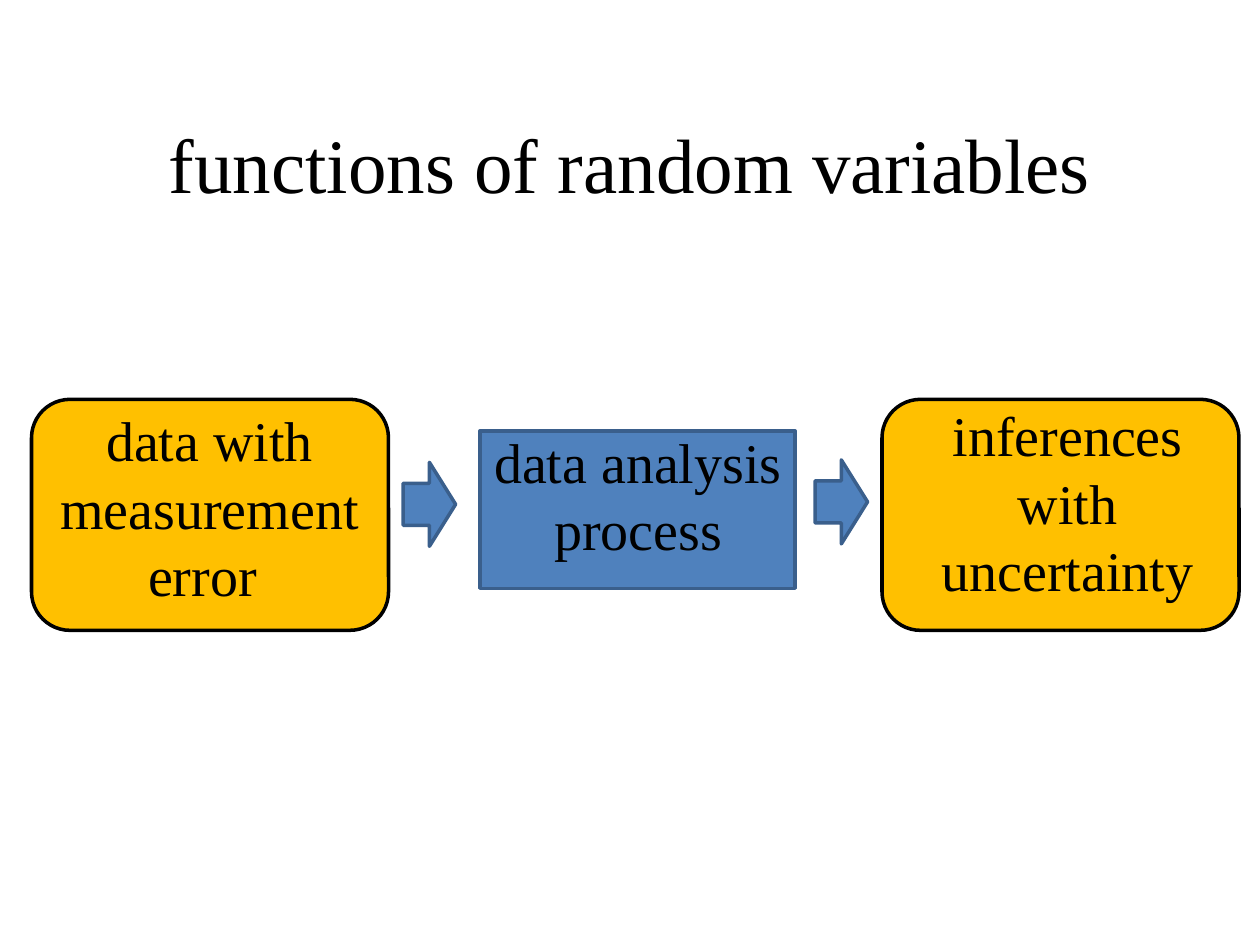
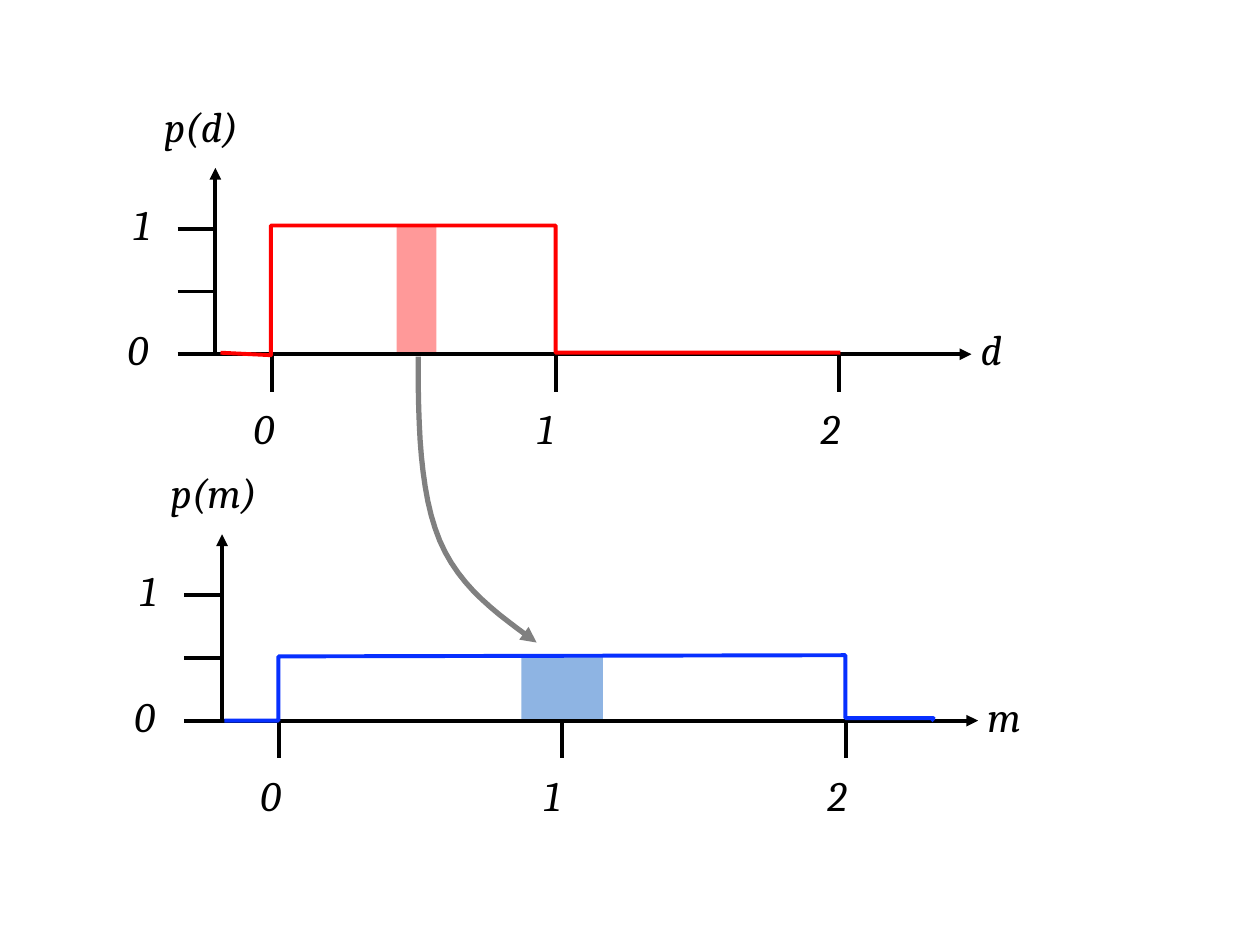
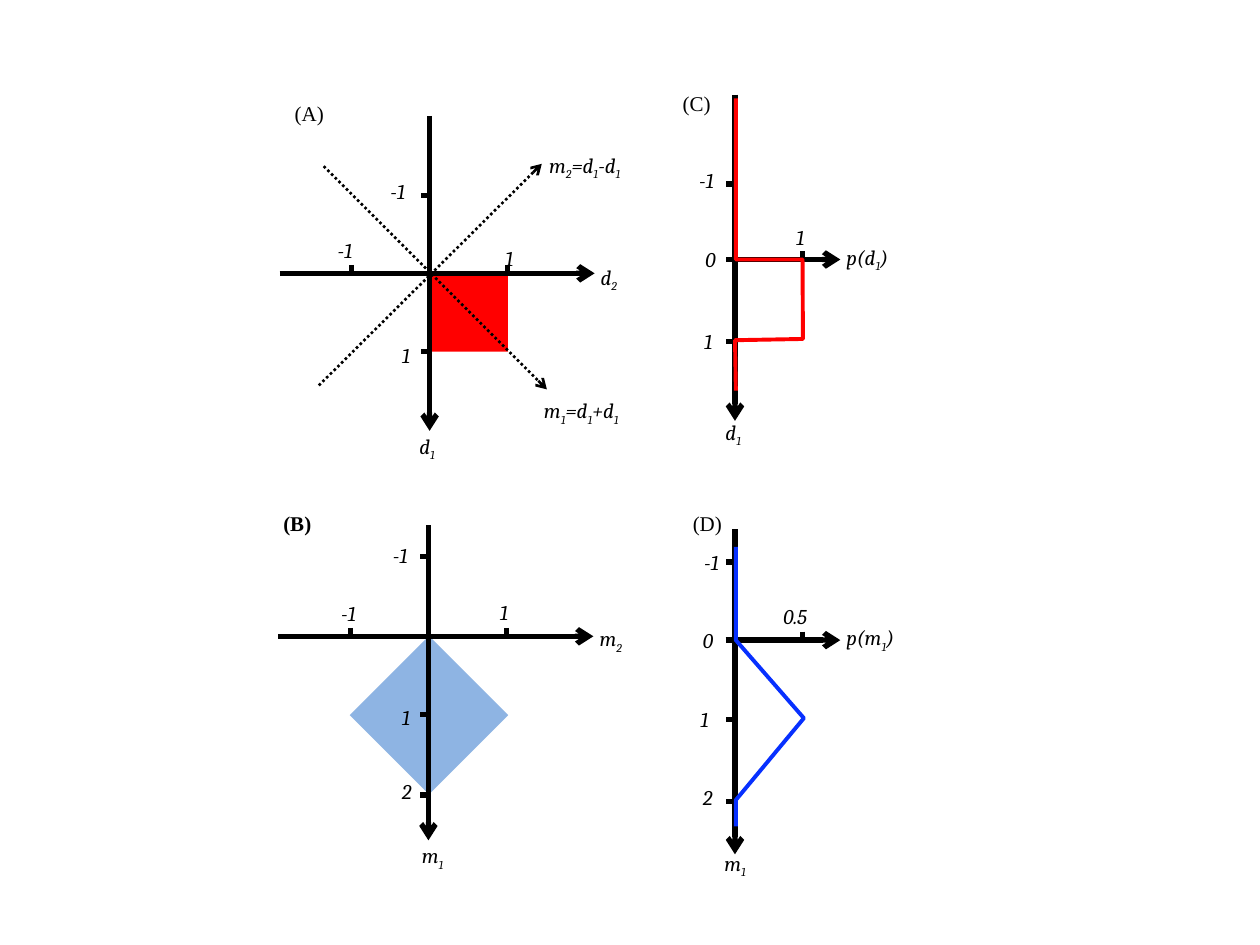
from lxml import etree
from pptx import Presentation
from pptx.dml.color import RGBColor
from pptx.enum.dml import MSO_LINE
from pptx.enum.shapes import MSO_CONNECTOR, MSO_SHAPE
from pptx.enum.text import MSO_ANCHOR, PP_ALIGN
from pptx.oxml.ns import qn
from pptx.util import Pt

RECTANGLE = MSO_SHAPE.RECTANGLE
ROUNDED = MSO_SHAPE.ROUNDED_RECTANGLE
ARROW = MSO_SHAPE.RIGHT_ARROW
STRAIGHT = MSO_CONNECTOR.STRAIGHT
DOTTED = MSO_LINE.ROUND_DOT
LEFT, CENTER = PP_ALIGN.LEFT, PP_ALIGN.CENTER
TOP, MIDDLE = MSO_ANCHOR.TOP, MSO_ANCHOR.MIDDLE

COLORS = {
    "black": "000000",
    "process": "4F81BD",
    "process_edge": "3A5F8C",
    "data": "FFC000",
    "red": "FF0000",
    "pink": "FF9999",
    "blue": "0730FF",
    "light_blue": "8EB4E3",
    "gray": "808080",
}
SERIF, MATH = "Times New Roman", "Cambria"


def add_text(slide, text, box, placeholder=None, font=MATH, size=12, bold=False,
             italic=True, align=LEFT, anchor=TOP, line_height=None, before=0):
    """Write text in a box or placeholder; an underscore lowers the next character."""
    shape = slide.shapes.add_textbox(0, 0, 0, 0) if placeholder is None else placeholder
    shape.left, shape.top, shape.width, shape.height = map(Pt, box)
    frame = shape.text_frame
    frame.word_wrap = True
    frame.vertical_anchor = anchor
    paragraph = frame.paragraphs[0]
    paragraph.alignment = align
    paragraph.space_before = Pt(before)
    if line_height:
        paragraph.line_spacing = Pt(line_height)
    first, *rest = text.split("_")
    pieces = [(first, False)]
    for part in rest:
        pieces += [(part[0], True), (part[1:], False)]
    for piece, lowered in pieces:
        if not piece:
            continue
        run = paragraph.add_run()
        run.text = piece
        run.font.name, run.font.size = font, Pt(size)
        run.font.bold, run.font.italic = bold, italic
        run.font.color.rgb = RGBColor.from_string(COLORS["black"])
        if lowered:
            run._r.get_or_add_rPr().set("baseline", "-25000")


def add_line(slide, points, color="black", width=2.25, dash=None, head=None, tail=None):
    """Draw a connector through two points, or an open outline through more."""
    corners = [(Pt(x), Pt(y)) for x, y in points]
    if len(corners) == 2:
        shape = slide.shapes.add_connector(STRAIGHT, *corners[0], *corners[1])
    else:
        builder = slide.shapes.build_freeform(*corners[0])
        builder.add_line_segments(corners[1:], close=False)
        shape = builder.convert_to_shape()
        shape.fill.background()
    shape.line.color.rgb = RGBColor.from_string(COLORS[color])
    shape.line.width = Pt(width)
    if dash:
        shape.line.dash_style = dash
    outline = shape.line._get_or_add_ln()
    for tag, kind in (("a:headEnd", head), ("a:tailEnd", tail)):
        if kind:
            etree.SubElement(outline, qn(tag)).set("type", kind)
    etree.SubElement(shape._element.spPr, qn("a:effectLst"))


presentation = Presentation()
presentation.slide_width, presentation.slide_height = Pt(720), Pt(540)
TITLE_ONLY, BLANK = presentation.slide_layouts[5], presentation.slide_layouts[6]
flow, mapping, panels = [
    presentation.slides.add_slide(layout) for layout in (TITLE_ONLY, BLANK, BLANK)
]

# Filled shapes of all slides, which lie behind lines and labels
filled_shapes = [
    (flow, RECTANGLE, (274.3, 246.2, 180, 90), "process", "process_edge", 0),
    (flow, ROUNDED, (504, 228.2, 204, 132), "data", "black", 0),
    (flow, ROUNDED, (18, 228.2, 204, 132), "data", "black", 0),
    (flow, ARROW, (230.4, 264.2, 30, 48), "process", "process_edge", 0),
    (flow, ARROW, (465.8, 262.8, 30, 48), "process", "process_edge", 0),
    (mapping, RECTANGLE, (298, 375.1, 46.5, 36), "light_blue", None, 0),
    (mapping, RECTANGLE, (226.7, 129.6, 22.8, 72), "pink", None, 0),
    (panels, RECTANGLE, (245.5, 156.2, 44.7, 44.7), "red", None, 0),
    (panels, RECTANGLE, (213.1, 376.6, 64.1, 64.1), "light_blue", None, 315),
]
for slide, kind, box, fill, edge, rotation in filled_shapes:
    shape = slide.shapes.add_shape(kind, *map(Pt, box))
    shape.shadow.inherit = False
    shape.rotation = rotation
    shape.fill.solid()
    shape.fill.fore_color.rgb = RGBColor.from_string(COLORS[fill])
    if edge:
        shape.line.color.rgb = RGBColor.from_string(COLORS[edge])
        shape.line.width = Pt(2)
    else:
        shape.line.fill.background()

# Slide 1: from data to inferences
add_text(flow, "functions of random variables", (36, 48.2, 648, 90),
         placeholder=flow.shapes.title, font=SERIF, size=44, italic=False,
         align=CENTER, anchor=MIDDLE)
for text, left, top in (
    ("data with measurement error ", 23.8, 228.2),
    ("data analysis process", 268.6, 240.5),
    ("inferences with uncertainty", 514.1, 225.4),
):
    add_text(flow, text, (left, top, 192, 138), font=SERIF, size=32, italic=False,
             align=CENTER, line_height=38.5, before=2)

# Slide 2: a uniform density before and after the change of variable
start = (239, 203.8)
arrow_points = [start]
for control_1, control_2, end in (
    ((239, 242.6), (239.8, 281.5), (251.3, 308.9)),
    ((262.8, 336.2), (285.1, 351.4), (306.7, 367.2)),
):
    for step in range(1, 13):
        t = step / 12
        weights = ((1 - t) ** 3, 3 * t * (1 - t) ** 2, 3 * t * t * (1 - t), t ** 3)
        curve = (start, control_1, control_2, end)
        arrow_points.append(tuple(
            sum(weight * point[axis] for weight, point in zip(weights, curve))
            for axis in (0, 1)
        ))
    start = end
add_line(mapping, arrow_points, color="gray", width=3, tail="triangle")

UNIT, HALF, TICK = 162, 35.8, 21.6
for variable, x, y in (("d", 123.1, 202.4), ("m", 126.9, 411.8)):
    add_line(mapping, [(x, y - 106.5), (x, y), (x + 432, y)],
             head="triangle", tail="triangle")
    for i in range(3):
        tick_x, tick_y = x + 32.4 + UNIT * i, y - HALF * i
        add_line(mapping, [(tick_x, y), (tick_x, y + TICK)])
        add_line(mapping, [(x - TICK, tick_y), (x, tick_y)])
        add_text(mapping, str(i), (x + 14.8 + UNIT * i, y + 24.2, 54, 36), size=24)
    add_text(mapping, f"p({variable})", (x - 36.4, y - 148.6, 119, 36), size=24)
    add_text(mapping, variable, (x + 430.2, y - 20.9, 54, 36), size=24)
    add_text(mapping, "0", (x - 57.2, y - 20.9, 54, 36), size=24)
    add_text(mapping, "1", (x - 54, y - 92.5, 54, 36), size=24)

add_line(mapping, [(126, 201.6), (154.8, 203), (154.8, 128.9), (317.5, 128.9),
                   (317.5, 201.6), (480.2, 201.6)], color="red")
add_line(mapping, [(128.2, 411.8), (159.1, 411.8), (159.1, 375.1), (483.1, 374.4),
                   (483.1, 410.4), (533.5, 410.4), (532.1, 411.8)], color="blue")

# Slide 3: vertical axis (x, top, bottom), horizontal axis (y, left, right),
# tick places, then labels (text, left, top, width)
panel_data = [
    ("(A)", (161.3, 54), (245.5, 66.2, 246.2), (156.2, 159.8, 339.8),
     (200.9, 290.2), (111.6, 200.9),
     [("-1", 216, 98.6, 36), ("-1", 185.8, 132.5, 42.5), ("1", 281.5, 136.8, 22.3),
      ("1", 222.5, 192.2, 22.3), ("d_2", 336.2, 147.6, 41), ("d_1", 232.6, 244.1, 39.6),
      ("m_1=d_1+d_1", 303.8, 223.9, 79.2), ("m_2=d_1-d_1", 306.7, 83.5, 90)]),
    ("(B)", (154.8, 288), (244.8, 300.2, 480.2), (363.6, 159.1, 339.1),
     (200.2, 289.4), (318.2, 408.2, 454.3),
     [("-1", 217.4, 306.7, 38.9), ("-1", 187.9, 339.8, 28.8), ("1", 278.6, 339.1, 22.3),
      ("1", 222.5, 398.9, 22.3), ("2", 222.5, 441.4, 22.3), ("m_2", 335.5, 354.2, 35.3),
      ("m_1", 234, 478.1, 32.4)]),
    ("(C)", (383, 48.2), (420, 54, 240.5), (148.3, 419.8, 480.2),
     (458.6,), (105.1, 148.3, 195.1),
     [("-1", 392.4, 92.2, 41), ("0", 396, 137.5, 22.3), ("1", 395.3, 184.3, 22.3),
      ("1", 447.8, 124.6, 22.3), ("p(d_1)", 476.6, 136.1, 51.1),
      ("d_1", 407.5, 236.2, 33.1)]),
    ("(D)", (388.8, 288), (420, 302.4, 488.2), (365.8, 414.7, 480.2),
     (458.6,), (321.1, 411.1, 457.9),
     [("-1", 395.3, 310.3, 36), ("0", 394.6, 355, 22.3), ("1", 393.1, 400.3, 22.3),
      ("2", 394.6, 445, 22.3), ("0.5", 440.6, 341.3, 43.2),
      ("p(m_1)", 476.6, 353.5, 51.1), ("m_1", 406.8, 482.4, 32.4)]),
]
for name, corner, vertical, horizontal, x_ticks, y_ticks, labels in panel_data:
    axis_x, top, bottom = vertical
    axis_y, left, right = horizontal
    add_line(panels, [(left, axis_y), (right, axis_y)], width=3, tail="arrow")
    add_line(panels, [(axis_x, top), (axis_x, bottom)], width=3, tail="arrow")
    for x in x_ticks:
        add_line(panels, [(x, axis_y - 4.8), (x, axis_y - 0.5)], width=3)
    for y in y_ticks:
        add_line(panels, [(axis_x - 0.7, y), (axis_x - 5, y)], width=3)
    for text, label_left, label_top, width in labels:
        add_text(panels, text, (label_left, label_top, width, 21.6))
    add_text(panels, name, (*corner, 48, 21.6), font=SERIF, italic=False,
             bold=name == "(B)")

for points in ([(185, 95), (312.5, 222.5)], [(182.2, 220.3), (309.6, 93.6)]):
    add_line(panels, points, width=1.5, dash=DOTTED, tail="arrow")
add_line(panels, [(420.5, 56.2), (420.5, 148.3), (458.6, 148.3), (458.8, 193.7),
                  (420, 194.4), (420.5, 223.2)], color="red")
add_line(panels, [(420.5, 312.5), (420.5, 365.8), (459.4, 410.4), (420.5, 457.2),
                  (420.5, 472.3)], color="blue")

presentation.save("out.pptx")
